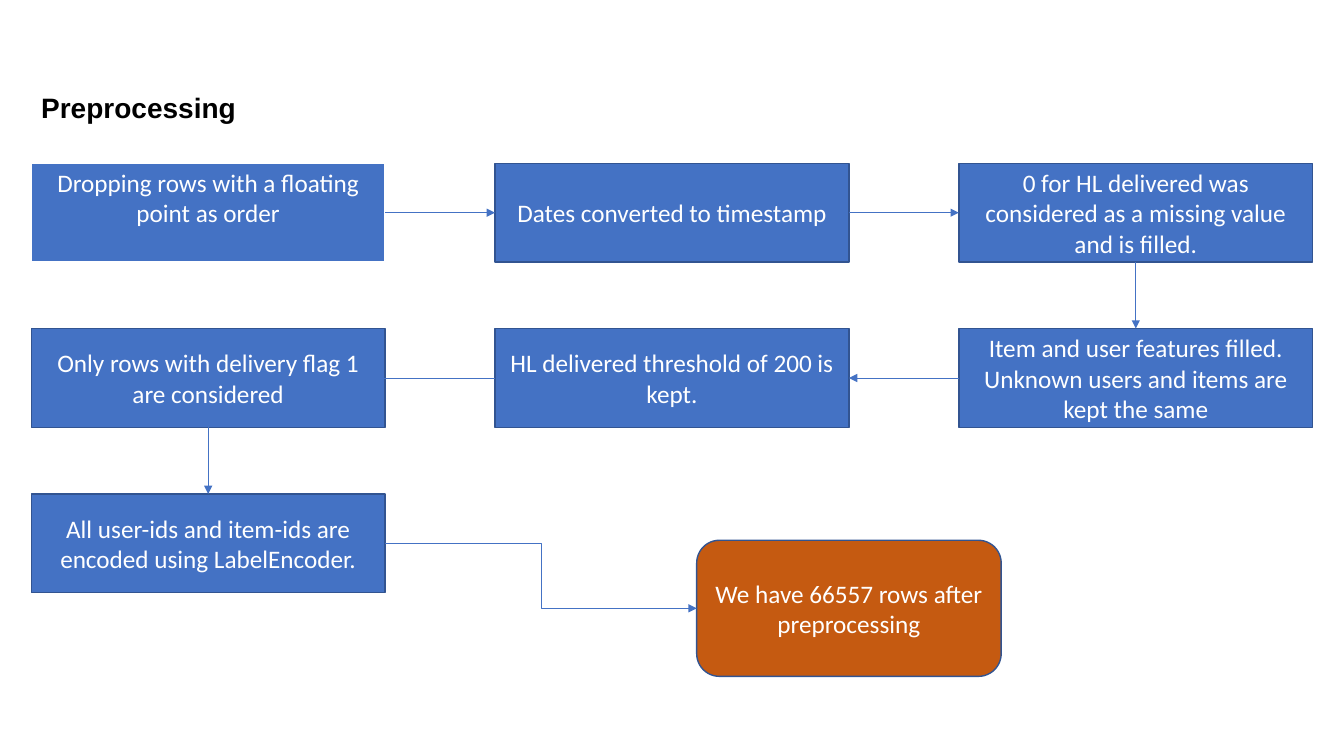
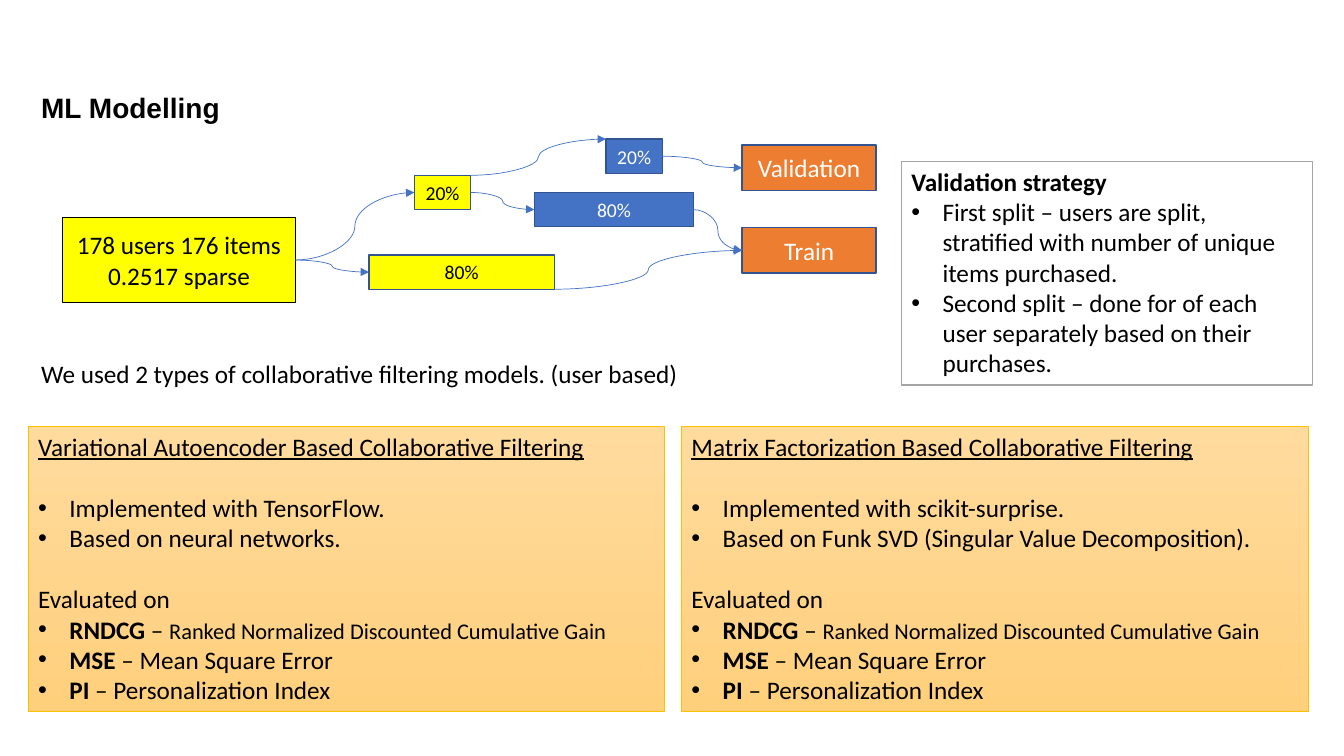
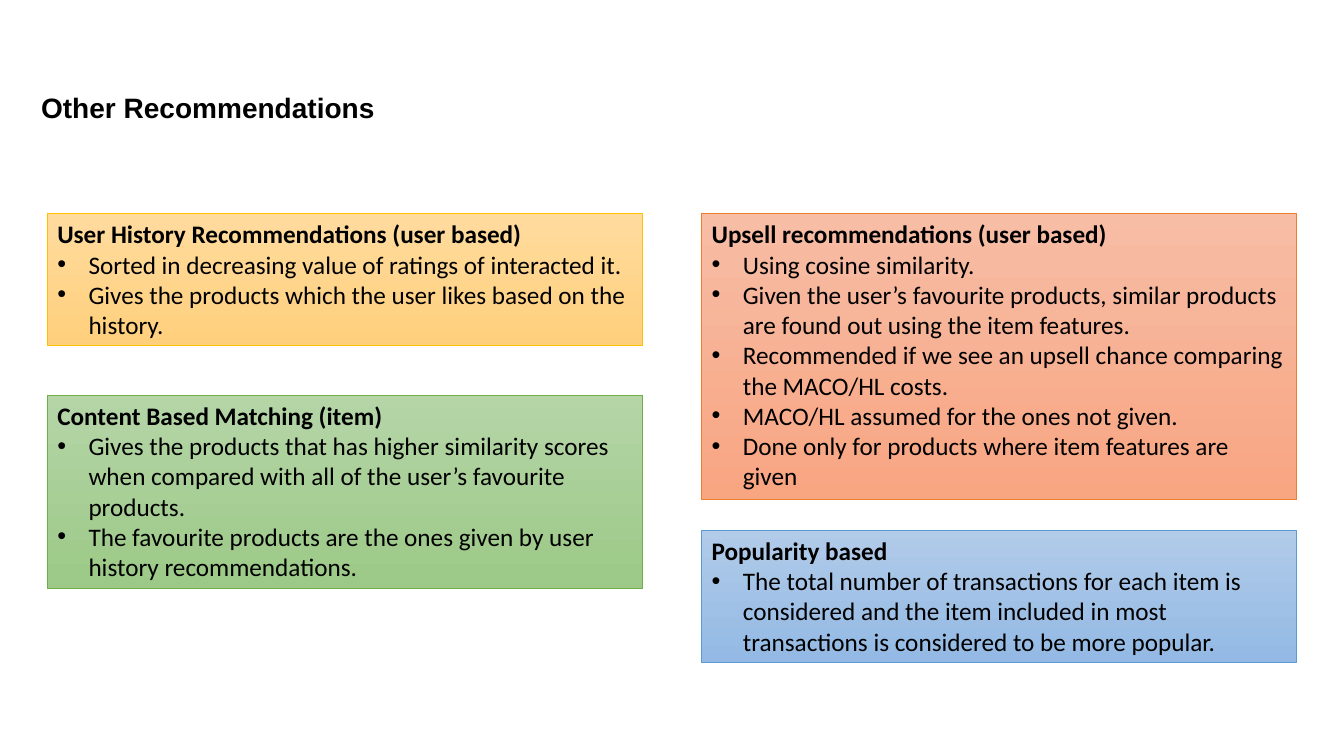
from lxml import etree
from pptx import Presentation
from pptx.dml.color import RGBColor
from pptx.enum.shapes import MSO_CONNECTOR as LINK, MSO_SHAPE as SHAPE
from pptx.enum.text import MSO_ANCHOR as ANCHOR, PP_ALIGN as ALIGN
from pptx.oxml.ns import qn
from pptx.util import Inches, Pt

COLORS = {
    "black": "000000", "white": "FFFFFF", "blue": "4472C4", "navy": "325491",
    "rust": "C55A11", "orange": "ED7D31", "yellow": "FFFF00", "gray": "A5A5A5",
}
THEMES = {
    "gold": ("FFDB9E", "FFD07C", "FFC000"),
    "coral": ("F7BDA5", "F8A582", "ED7D31"),
    "green": ("B5D5A7", "9CC987", "70AD47"),
    "sky": ("B1CBE9", "93B9E4", "5B9BD5"),
}
SITES = {(0.5, 0): 0, (0, 0.5): 1, (0.5, 1): 2, (1, 0.5): 3}
TOP, LEFT, BOTTOM, RIGHT = SITES
TOP_LEFT, TOP_RIGHT, BOTTOM_RIGHT = (0, 0), (1, 0), (1, 1)
BLANK_LINE = 22

METRICS = [
    ("RNDCG", " – ", "Ranked Normalized Discounted Cumulative Gain"),
    ("MSE", " – Mean Square Error"),
    ("PI", " – Personalization Index"),
]


def rgb(name):
    """Return the colour of a palette name or of a hex string."""
    return RGBColor.from_string(COLORS.get(name, name))


def style(p, size=18, color="black", font="Calibri", bold=False):
    """Set the font of a whole paragraph."""
    p.font.size, p.font.name, p.font.bold = Pt(size), font, bold
    p.font.color.rgb = rgb(color)


def add_text(s, box, text, anchor=ANCHOR.TOP, **font):
    """Place one plain line of text."""
    tf = s.shapes.add_textbox(*map(Inches, box)).text_frame
    tf.word_wrap, tf.vertical_anchor = True, anchor
    p = tf.paragraphs[0]
    p.text, p.line_spacing = text, 0.9
    style(p, **font)


def new_slide(prs, title):
    """Add a blank slide with the shared title."""
    s = prs.slides.add_slide(prs.slide_layouts[6])
    add_text(s, (0.31, 0.79, 11.03, 0.59), title, ANCHOR.MIDDLE,
             size=20, font="Arial", bold=True)
    return s


def add_box(s, box, fill, line="navy", width=1, kind=SHAPE.RECTANGLE):
    """Draw an outlined shape without a shadow."""
    sp = s.shapes.add_shape(kind, *map(Inches, box))
    sp.shadow.inherit = False
    sp.fill.solid()
    sp.fill.fore_color.rgb = rgb(fill)
    sp.line.color.rgb, sp.line.width = rgb(line), Pt(width)
    sp.text_frame.word_wrap = True
    return sp


def add_node(s, box, lines, fill="blue", size=18, color="white", **look):
    """Draw a flow chart node with centred text."""
    sp = add_box(s, box, fill, **look)
    tf = sp.text_frame
    tf.vertical_anchor = ANCHOR.MIDDLE
    for i, line in enumerate(lines.split("\n")):
        p = tf.add_paragraph() if i else tf.paragraphs[0]
        p.text, p.alignment = line, ALIGN.CENTER
        style(p, size, color)
    return sp


def add_arrow(s, start, start_at, end, end_at, kind=LINK.STRAIGHT):
    """Run an arrow between two shapes, each point a fraction of its shape."""
    points = [v for sp, (fx, fy) in ((start, start_at), (end, end_at))
              for v in (int(sp.left + fx * sp.width), int(sp.top + fy * sp.height))]
    c = s.shapes.add_connector(kind, *points)
    if start_at in SITES:
        c.begin_connect(start, SITES[start_at])
    if end_at in SITES:
        c.end_connect(end, SITES[end_at])
    c.line.color.rgb, c.line.width = rgb("blue"), Pt(0.5)
    props = c.element.spPr
    etree.SubElement(props.find(qn("a:ln")), qn("a:tailEnd"), type="triangle")
    etree.SubElement(props, qn("a:effectLst"))


def add_bullet(p):
    """Give a paragraph a hanging bullet."""
    props = p._p.get_or_add_pPr()
    props.set("marL", str(Inches(0.31)))
    props.set("indent", str(-Inches(0.31)))
    etree.SubElement(props, qn("a:buFont"), typeface="Arial")
    etree.SubElement(props, qn("a:buChar"), char="•")


def add_panel(s, box, heading, bullets, theme=None):
    """Draw a text panel with a heading and bullets, and return both."""
    if theme:
        top, bottom, line = THEMES[theme]
        sp = add_box(s, box, top, line, 0.5)
        sp.fill.gradient()
        sp.fill.gradient_angle = 270
        for stop, color in zip(sp.fill.gradient_stops, (top, bottom)):
            stop.color.rgb = rgb(color)
    else:
        sp = add_box(s, box, "white", "gray")
    tf = sp.text_frame
    tf.vertical_anchor = ANCHOR.TOP
    p = tf.paragraphs[0]
    p.text, p.alignment = heading, ALIGN.LEFT
    style(p, bold=True)
    add_items(tf, bullets)
    return tf


def add_items(tf, items):
    """Append bullets; a tuple holds a bold term, plain text and small text."""
    for item in items:
        p = tf.add_paragraph()
        p.alignment = ALIGN.LEFT
        add_bullet(p)
        style(p)
        if isinstance(item, str):
            p.text = item
            continue
        for i, text in enumerate(item):
            r = p.add_run()
            r.text = text
            if i == 0:
                r.font.bold = True
            elif i == 2:
                r.font.size = Pt(16)


def add_model(s, box, name, facts):
    """Draw a model panel: name, facts and the shared metrics."""
    tf = add_panel(s, box, name, facts, "gold")
    heading, first_fact = tf.paragraphs[:2]
    heading.font.bold, heading.font.underline = False, True
    first_fact.space_before = Pt(BLANK_LINE)
    p = tf.add_paragraph()
    p.text, p.alignment, p.space_before = "Evaluated on", ALIGN.LEFT, Pt(BLANK_LINE)
    style(p)
    add_items(tf, METRICS)


def add_steps(s, left, top):
    """Draw the grid of preprocessing steps and its arrows."""
    steps = [
        (0, 0, "Dropping rows with a floating point as order"),
        (1, 0, "Dates converted to timestamp"),
        (2, 0, "0 for HL delivered was considered as a missing value and is filled."),
        (2, 1, "Item and user features filled. Unknown users and items are kept the same"),
        (1, 1, "HL delivered threshold of 200 is kept."),
        (0, 1, "Only rows with delivery flag 1 are considered"),
        (0, 2, "All user-ids and item-ids are encoded using LabelEncoder."),
    ]
    nodes = [add_node(s, (left + 4.6 * col, top + 1.64 * row, 3.51, 0.98), text)
             for col, row, text in steps]
    nodes[0].line.color.rgb, nodes[0].line.width = rgb("white"), Pt(1.5)
    nodes[0].text_frame.margin_bottom = Inches(0.35)
    sides = [(RIGHT, LEFT), (RIGHT, LEFT), (BOTTOM, TOP),
             (LEFT, RIGHT), (LEFT, (0.95, 0.5)), (BOTTOM, TOP)]
    for a, b, (out, into) in zip(nodes, nodes[1:], sides):
        add_arrow(s, a, out, b, into)
    return nodes[-1]


def add_split(s, left, top):
    """Draw the two-stage split of the data."""
    def node(x, y, w, h, text, **look):
        return add_node(s, (left + x, top + y, w, h), text, **look)

    first = {"fill": "yellow", "color": "black", "size": 14}
    data = node(0, 0.78, 2.31, 0.84, "178 users 176 items\n0.2517 sparse",
                fill="yellow", color="black", line="black")
    first_20 = node(3.49, 0.36, 0.56, 0.34, "20%", **first)
    first_80 = node(3.04, 1.15, 1.84, 0.34, "80%", **first)
    second_20 = node(5.39, 0, 0.56, 0.34, "20%", size=14)
    second_80 = node(4.68, 0.53, 1.58, 0.34, "80%", size=14)
    validation, train = [node(6.74, y, 1.33, 0.45, text, fill="orange")
                         for y, text in ((0.06, "Validation"), (0.88, "Train"))]
    for link in [
        (data, RIGHT, first_20, LEFT),
        (data, RIGHT, first_80, LEFT),
        (first_20, RIGHT, second_80, LEFT),
        (first_20, TOP_RIGHT, second_20, TOP_LEFT),
        (second_20, RIGHT, validation, LEFT),
        (second_80, RIGHT, train, LEFT),
        (first_80, BOTTOM_RIGHT, train, LEFT),
    ]:
        add_arrow(s, *link, LINK.CURVE)


def preprocessing(prs):
    """Build the preprocessing slide."""
    s = new_slide(prs, "Preprocessing")
    last = add_steps(s, 0.31, 1.62)
    result = add_node(s, (6.91, 5.36, 3.02, 1.35), "We have 66557 rows after preprocessing",
                      "rust", kind=SHAPE.FLOWCHART_ALTERNATE_PROCESS)
    add_arrow(s, last, RIGHT, result, LEFT, LINK.ELBOW)


def modelling(prs):
    """Build the modelling slide."""
    s = new_slide(prs, "ML Modelling")
    add_split(s, 0.62, 1.38)
    add_panel(s, (8.94, 1.6, 4.08, 2.22), "Validation strategy", [
        "First split – users are split, stratified with number of unique items purchased.",
        "Second split – done for of each user separately based on their purchases.",
    ])
    add_text(s, (0.31, 3.54, 8.07, 0.5),
             "We used 2 types of collaborative filtering models. (user based)")
    add_model(s, (0.28, 4.23, 6.31, 2.83),
              "Variational Autoencoder Based Collaborative Filtering",
              ["Implemented with TensorFlow.", "Based on neural networks."])
    add_model(s, (6.76, 4.23, 6.22, 2.83),
              "Matrix Factorization Based Collaborative Filtering",
              ["Implemented with scikit-surprise.",
               "Based on Funk SVD (Singular Value Decomposition)."])


def recommendations(prs):
    """Build the slide of other recommendations."""
    s = new_slide(prs, "Other Recommendations")
    left, right, width = 0.47, 6.96, 5.9
    panels = [
        (left, 2.12, 1.31, "gold", "User History Recommendations (user based)", [
            "Sorted in decreasing value of ratings of interacted it.",
            "Gives the products which the user likes based on the history."]),
        (left, 3.92, 1.92, "green", "Content Based Matching (item)", [
            "Gives the products that has higher similarity scores when compared "
            "with all of the user’s favourite products.",
            "The favourite products are the ones given by user history recommendations."]),
        (right, 2.12, 2.83, "coral", "Upsell recommendations (user based)", [
            "Using cosine similarity.",
            "Given the user’s favourite products, similar products are found out "
            "using the item features.",
            "Recommended if we see an upsell chance comparing the MACO/HL costs.",
            "MACO/HL assumed for the ones not given.",
            "Done only for products where item features are given"]),
        (right, 5.26, 1.31, "sky", "Popularity based", [
            "The total number of transactions for each item is considered and the item "
            "included in most transactions is considered to be more popular."]),
    ]
    for x, y, height, theme, heading, bullets in panels:
        add_panel(s, (x, y, width, height), heading, bullets, theme)


def main():
    """Build and save the presentation."""
    prs = Presentation()
    prs.slide_width, prs.slide_height = Inches(13.33), Inches(7.5)
    for build in (preprocessing, modelling, recommendations):
        build(prs)
    prs.save("out.pptx")


if __name__ == "__main__":
    main()
